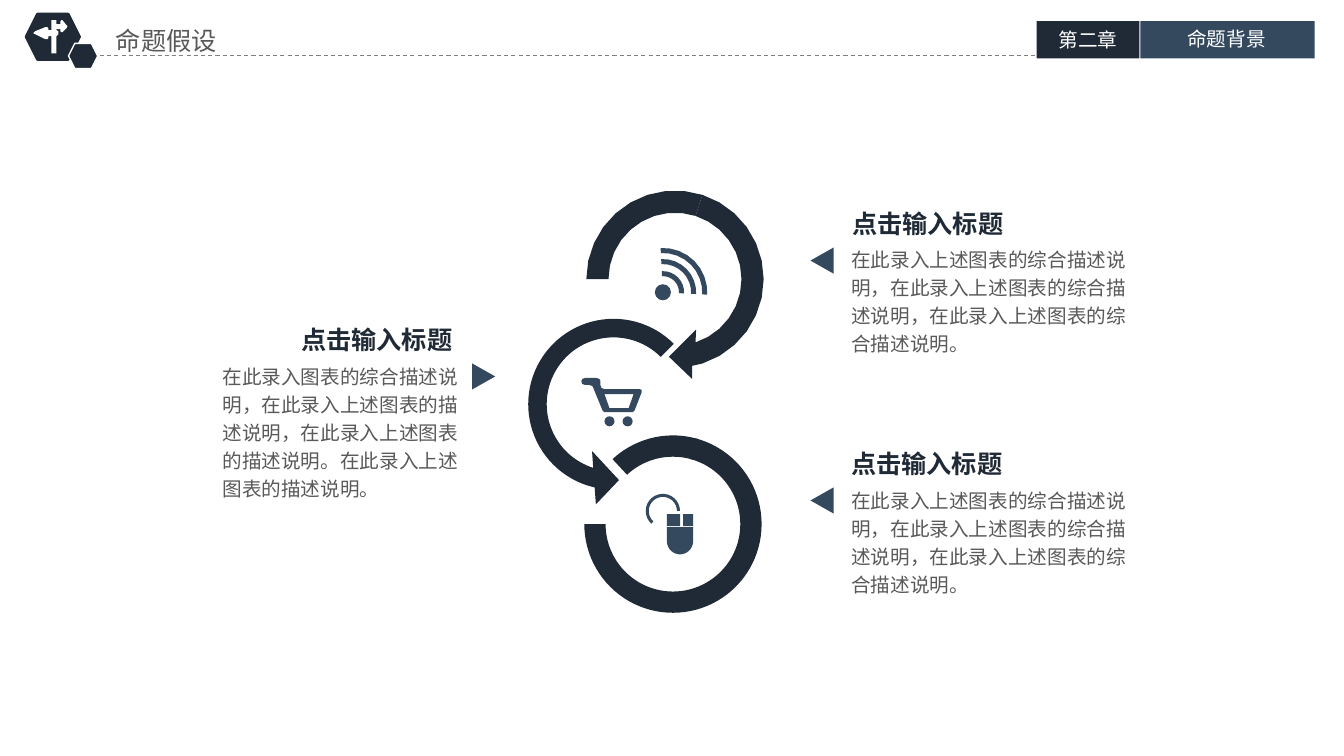
from dataclasses import dataclass
from math import cos, radians, sin

from lxml.etree import SubElement
from pptx import Presentation
from pptx.dml.color import RGBColor
from pptx.enum.dml import MSO_LINE_DASH_STYLE as Dash
from pptx.enum.shapes import MSO_CONNECTOR as Connector, MSO_SHAPE as Preset
from pptx.enum.text import MSO_AUTO_SIZE as AutoSize, PP_ALIGN as Align
from pptx.oxml.ns import qn
from pptx.util import Pt

EMU_PER_PX = 9144
ARC_STEP = 12
FONT = "Noto Sans CJK SC"
NAVY, SLATE, GRAY, RULE, WHITE = "202A36", "34495E", "595959", "808080", "FFFFFF"
Point = tuple[float, float]
Box = tuple[int, int, int, int]


@dataclass
class Chapter:
    label: str
    label_box: Box
    tab_box: Box
    color: str


@dataclass
class Topic:
    heading: str
    body: str
    heading_box: Box
    body_box: Box
    marker_box: Box
    marker_turn: int


@dataclass
class Loop:
    preset: Preset
    box: Box
    adjustments: tuple[float, ...]


@dataclass
class Icon:
    color: str
    contours: list[list[Point]]


def px(value: float) -> int:
    """Turn px into EMU."""
    return round(value * EMU_PER_PX)


def rgb(color: str) -> RGBColor:
    """Turn a hex string into a colour."""
    return RGBColor.from_string(color)


def arc(center: Point, radius: int, start: int, end: int) -> list[Point]:
    """List points along an arc, clockwise in degrees."""
    return [(center[0] + radius * cos(radians(angle)), center[1] + radius * sin(radians(angle)))
            for angle in range(start, end + 1, ARC_STEP)]


def ring(center: Point, outer: int, inner: int, start: int, end: int,
         head: tuple[Point, ...] = ()) -> list[Point]:
    """Outline a ring segment with an optional arrowhead."""
    return arc(center, outer, start, end) + list(head) + arc(center, inner, start, end)[::-1]


def add_preset(slide, preset: Preset, box: Box, color: str, outline: str = "", weight: float = 0):
    """Draw a filled preset shape."""
    shape = slide.shapes.add_shape(preset, *map(px, box))
    shape.shadow.inherit = False
    shape.fill.solid()
    shape.fill.fore_color.rgb = rgb(color)
    if outline:
        shape.line.color.rgb = rgb(outline)
        shape.line.width = Pt(weight)
    else:
        shape.line.fill.background()
    return shape


def add_loop(slide, loop: Loop) -> None:
    """Draw one adjusted loop shape."""
    band = add_preset(slide, loop.preset, loop.box, NAVY)
    for index, adjustment in enumerate(loop.adjustments):
        band.adjustments[index] = adjustment


def add_icon(slide, icon: Icon) -> None:
    """Draw closed contours as one freeform."""
    first, *others = [[(px(x), px(y)) for x, y in contour] for contour in icon.contours]
    builder = slide.shapes.build_freeform(*first[0], scale=1.0)
    builder.add_line_segments(first[1:], close=True)
    for contour in others:
        builder.move_to(*contour[0])
        builder.add_line_segments(contour[1:], close=True)
    outline = builder.convert_to_shape()
    outline.shadow.inherit = False
    outline.fill.solid()
    outline.fill.fore_color.rgb = rgb(icon.color)
    outline.line.fill.background()


def add_text(slide, box: Box, text: str, size: int, color: str, inset: tuple[int, int] = (10, 5),
             bold: bool = False, wrap: bool = True, align: Align = Align.LEFT,
             spacing: float = 1.0) -> None:
    """Add a text box with one styled paragraph."""
    frame = slide.shapes.add_textbox(*map(px, box)).text_frame
    frame.margin_left = frame.margin_right = px(inset[0])
    frame.margin_top = frame.margin_bottom = px(inset[1])
    frame.word_wrap = wrap
    frame.auto_size = AutoSize.SHAPE_TO_FIT_TEXT
    frame.text = text
    paragraph = frame.paragraphs[0]
    paragraph.alignment = align
    paragraph.line_spacing = spacing
    font = paragraph.runs[0].font
    font.name, font.size, font.bold = FONT, Pt(size), bold
    font.color.rgb = rgb(color)
    SubElement(paragraph.runs[0]._r.get_or_add_rPr(), qn("a:ea"), typeface=FONT)


def add_topic(slide, topic: Topic) -> None:
    """Draw a heading, its description and its pointer."""
    add_text(slide, topic.heading_box, topic.heading, 18, NAVY, bold=True, wrap=False)
    add_text(slide, topic.body_box, topic.body, 14, GRAY, spacing=1.2)
    marker = add_preset(slide, Preset.ISOSCELES_TRIANGLE, topic.marker_box, SLATE)
    marker.rotation = topic.marker_turn


HEADING = "点击输入标题"
RIGHT_BODY = "在此录入上述图表的综合描述说明，在此录入上述图表的综合描述说明，在此录入上述图表的综合描述说明。"
LEFT_BODY = "在此录入图表的综合描述说明，在此录入上述图表的描述说明，在此录入上述图表的描述说明。在此录入上述图表的描述说明。"
CHAPTERS = [
    Chapter("第二章", (1029, 24, 102, 31), (1029, 21, 102, 37), NAVY),
    Chapter("命题背景", (1131, 23, 173, 31), (1132, 21, 173, 37), SLATE),
]
TOPICS = [
    Topic(HEADING, RIGHT_BODY, (836, 202, 172, 40), (835, 236, 309, 123), (803, 247, 26, 23), 270),
    Topic(HEADING, RIGHT_BODY, (835, 440, 172, 40), (835, 475, 309, 123), (803, 485, 26, 23), 270),
    Topic(HEADING, LEFT_BODY, (289, 317, 172, 40), (211, 352, 267, 151), (467, 362, 26, 23), 90),
]
BOTTOM_BOX = (580, 432, 176, 176)
LOOPS = [
    Loop(Preset.LEFT_CIRCULAR_ARROW, (507, 299, 204, 204), (0.09, 11.42, 62.94, 189, 0.13)),
    Loop(Preset.BLOCK_ARC, BOTTOM_BOX, (136.24, 172.28, 0.12)),
    Loop(Preset.BLOCK_ARC, BOTTOM_BOX, (170.85, 108, 0.12)),
]
SIGNPOST = Icon(WHITE, [[
    (66, 25), (62, 20), (61, 20), (60, 21), (60, 24), (56, 24), (56, 20), (51, 20), (51, 30),
    (48, 30), (48, 28), (47, 27), (45, 27), (35, 31), (33, 33), (35, 34), (45, 39), (47, 39),
    (48, 38), (48, 36), (51, 36), (51, 53), (56, 53), (56, 36), (58, 34), (58, 31), (56, 30),
    (56, 29), (60, 29), (60, 31), (61, 32), (62, 32), (66, 28), (67, 26)]])
TOP_ARROW = Icon(NAVY, [ring((670, 277), 88, 66, 288, 432, ((687, 363), (687, 376), (664, 354), (691, 327)))])
TOP_TAIL = Icon(NAVY, [ring((670, 277), 88, 66, 180, 288)])
WIFI = [Icon(SLATE, [ring((658, 290), radius, radius - 5, 267, 363)]) for radius in (21, 33, 44)]
CART = Icon(SLATE, [
    [(635, 386), (600, 386), (597, 385), (596, 382), (596, 378), (595, 376), (592, 375), (581, 375),
     (578, 376), (577, 378), (578, 381), (581, 382), (585, 382), (588, 383), (589, 385), (598, 407),
     (600, 409), (628, 409), (630, 407), (637, 389), (637, 387)],
    [(624, 405), (605, 405), (600, 391), (629, 391)]])
MOUSE = Icon(SLATE, [
    [(678, 510), (688, 510), (688, 522), (678, 522)],
    [(662, 510), (675, 510), (675, 522), (662, 522)],
    [(688, 523), *arc((675, 537), 13, 0, 180), (662, 523)]])
CABLE = Icon(SLATE, [ring((658, 507), 17, 14, 132, 360)])


def main() -> None:
    """Build the slide."""
    deck = Presentation()
    deck.slide_width, deck.slide_height = px(1334), px(750)
    slide = deck.slides.add_slide(deck.slide_layouts[6])

    add_text(slide, (108, 21, 205, 38), "命题假设", 18, GRAY, inset=(7, 4))
    add_preset(slide, Preset.HEXAGON, (26, 14, 53, 45), NAVY, NAVY, 2)
    rule = slide.shapes.add_connector(Connector.STRAIGHT, px(92), px(55), px(1029), px(55))
    rule.line.color.rgb = rgb(RULE)
    rule.line.width = Pt(0.75)
    rule.line.dash_style = Dash.DASH
    SubElement(rule._element.spPr, qn("a:effectLst"))
    add_preset(slide, Preset.HEXAGON, (68, 43, 29, 25), NAVY, WHITE, 1)
    for chapter in CHAPTERS:
        add_preset(slide, Preset.RECTANGLE, chapter.tab_box, chapter.color)
        add_text(slide, chapter.label_box, chapter.label, 14, WHITE, inset=(7, 4), align=Align.CENTER)

    for topic in TOPICS:
        add_topic(slide, topic)
    for loop in LOOPS:
        add_loop(slide, loop)

    add_preset(slide, Preset.OVAL, (650, 282, 16, 16), SLATE)
    for wheel_left in (600, 618):
        add_preset(slide, Preset.OVAL, (wheel_left, 413, 10, 10), SLATE)
    for icon in (SIGNPOST, *WIFI, CART, MOUSE, CABLE, TOP_ARROW, TOP_TAIL):
        add_icon(slide, icon)

    deck.save("out.pptx")


if __name__ == "__main__":
    main()
